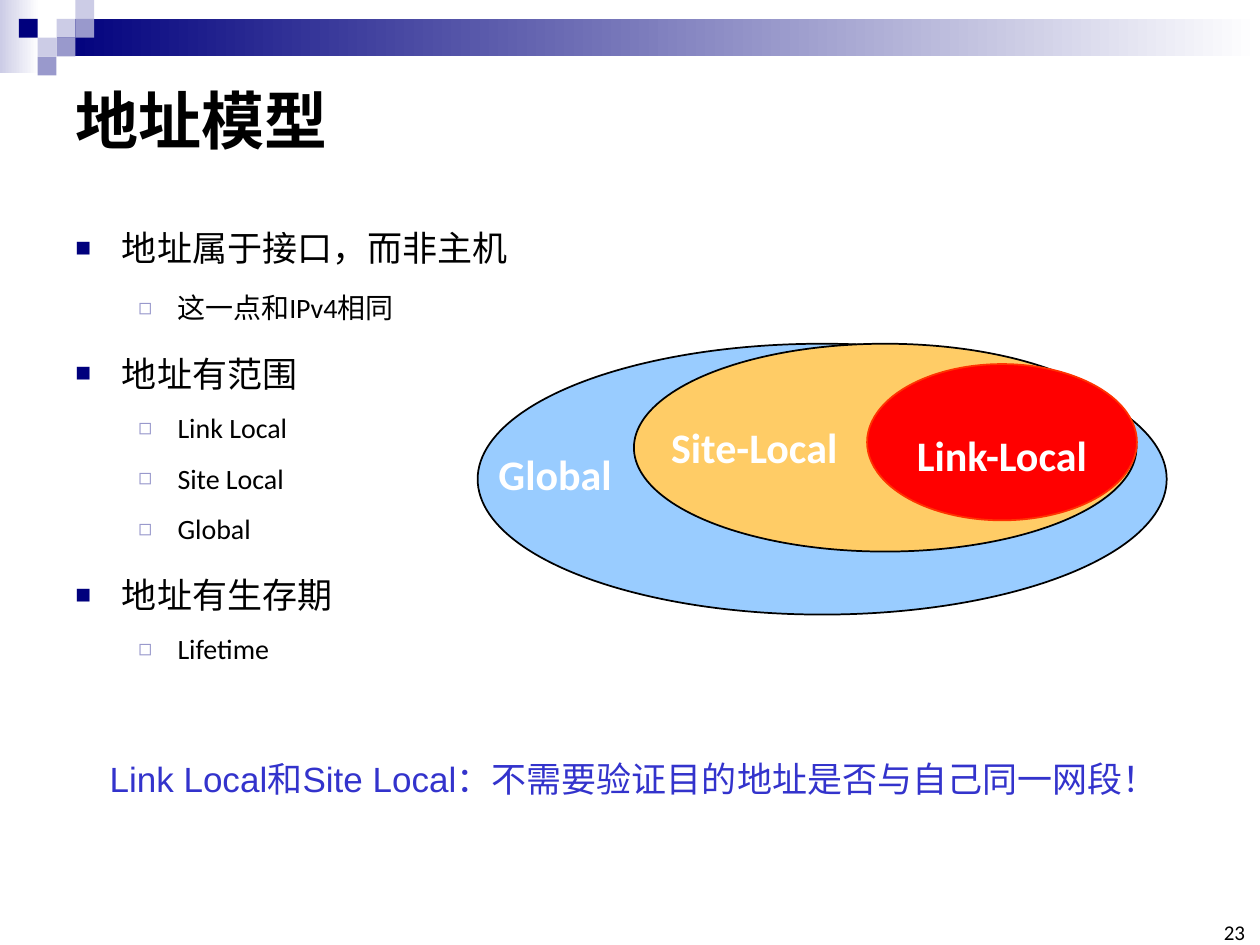
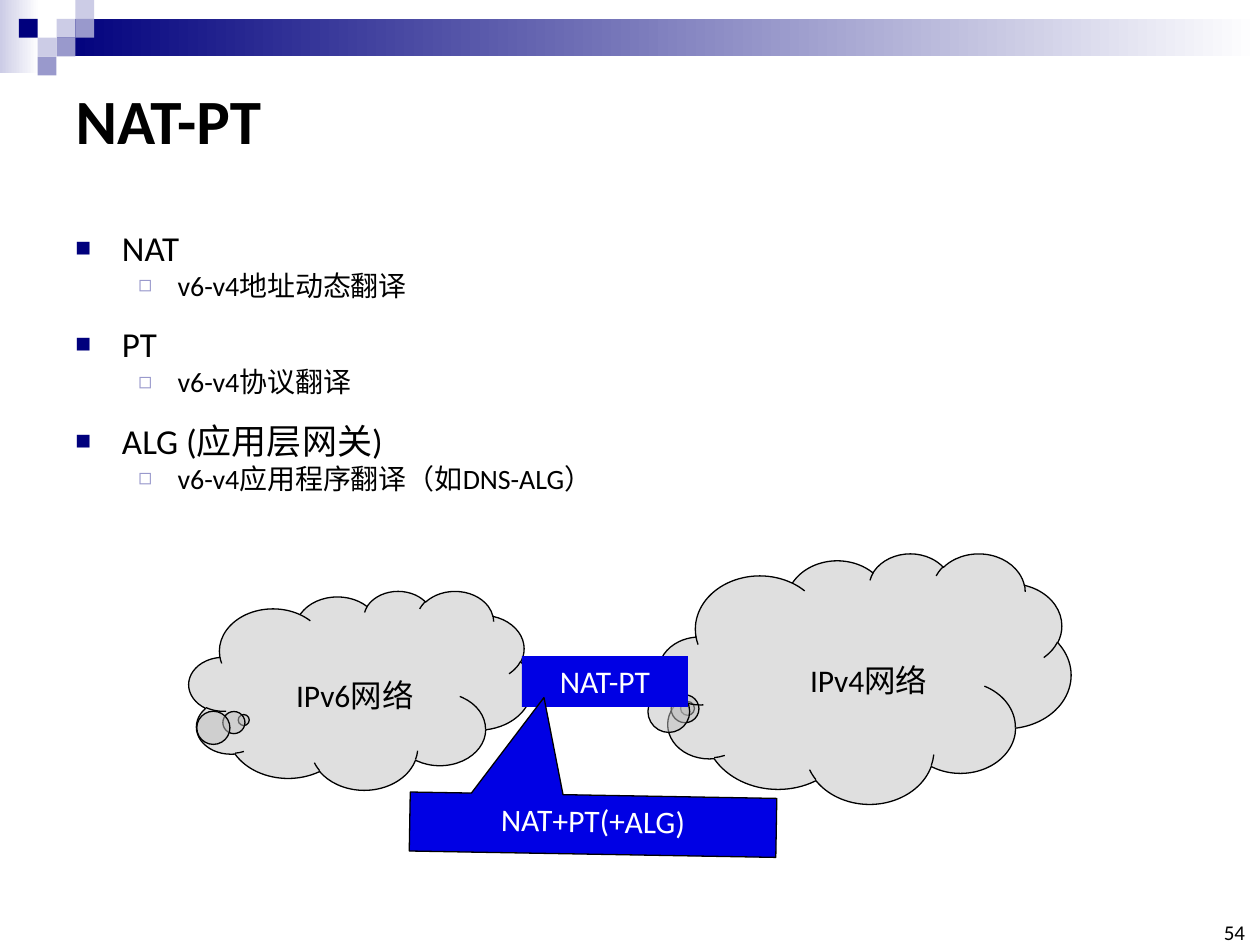
import pptx
import pptx.util
import pptx.dml.color
import pptx.enum.shapes
import pptx.enum.text
import pptx.oxml.ns

Cm = pptx.util.Cm
Pt = pptx.util.Pt
RGB = pptx.dml.color.RGBColor
SHAPE = pptx.enum.shapes.MSO_SHAPE
ALIGN = pptx.enum.text.PP_ALIGN
ANCHOR = pptx.enum.text.MSO_ANCHOR
FIT = pptx.enum.text.MSO_AUTO_SIZE
qn = pptx.oxml.ns.qn

BLACK = RGB(0x00, 0x00, 0x00)
WHITE = RGB(0xFF, 0xFF, 0xFF)
NAVY = RGB(0x00, 0x00, 0x7D)
LAVENDER = RGB(0x99, 0x99, 0xCC)
PALE = RGB(0xCC, 0xCC, 0xE6)
SKY = RGB(0x99, 0xCC, 0xFF)
AMBER = RGB(0xFF, 0xCC, 0x66)
RED = RGB(0xFF, 0x00, 0x00)
ORANGE = RGB(0xFF, 0x33, 0x00)
BLUE = RGB(0x00, 0x00, 0xE4)
INDIGO = RGB(0x33, 0x33, 0xCC)
GREY = RGB(0xC0, 0xC0, 0xC0)

UNIT = 0.38
SQUARES = [(3, 1, PALE), (4, 0, PALE), (4, 1, LAVENDER), (2, 2, PALE),
           (1, 1, NAVY), (3, 2, LAVENDER), (2, 3, LAVENDER)]
LEVELS = [
    dict(size=20, left=0.94, hang=0.94, char="■", color=NAVY, scale=75),
    dict(size=16, left=2.06, hang=0.79, char="◻", color=LAVENDER, scale=80),
]


def add_xml(parent, tag, **attributes):
    child = parent.makeelement(qn(tag), attributes)
    parent.append(child)
    return child


class Deck:
    font = "Calibri"

    def __init__(self):
        self.prs = pptx.Presentation()
        self.prs.slide_width = Cm(25.4)
        self.prs.slide_height = Cm(19.05)
        self.s = None

    def slide(self, title, number):
        self.s = self.prs.slides.add_slide(self.prs.slide_layouts[5])
        self.band()
        sp = self.s.shapes.title
        sp.left, sp.top, sp.width, sp.height = Cm(1.27), Cm(1.27), Cm(22.86), Cm(2.26)
        tf = sp.text_frame
        tf.auto_size = FIT.NONE
        tf.vertical_anchor = ANCHOR.MIDDLE
        self.run(tf.paragraphs[0], title, 36, bold=True, align=ALIGN.LEFT)
        tf = self.text((24.13, 18.62, 0.97, 0.43), number, 12, align=ALIGN.RIGHT)
        tf.auto_size = FIT.NONE
        tf.vertical_anchor = ANCHOR.BOTTOM
        tf.margin_left = tf.margin_right = tf.margin_top = tf.margin_bottom = 0

    def band(self):
        self.gradient((0, 0, 0.79, 1.47), PALE)
        self.gradient((3 * UNIT, UNIT, 25.4 - 3 * UNIT, 2 * UNIT), NAVY)
        for col, row, color in SQUARES:
            self.shape(SHAPE.RECTANGLE, (col * UNIT, row * UNIT, UNIT, UNIT), color)

    def gradient(self, box, color):
        sp = self.shape(SHAPE.RECTANGLE, box, color)
        sp.fill.gradient()
        sp.fill.gradient_angle = 0
        for stop, rgb in zip(sp.fill.gradient_stops, (color, WHITE)):
            stop.color.rgb = rgb

    def shape(self, kind, box, fill, line=None, weight=1, adj=()):
        sp = self.s.shapes.add_shape(kind, *map(Cm, box))
        sp.shadow.inherit = False
        sp.fill.solid()
        sp.fill.fore_color.rgb = fill
        if line is None:
            sp.line.fill.background()
        else:
            sp.line.color.rgb = line
            sp.line.width = Pt(weight)
        for i, value in enumerate(adj):
            sp.adjustments[i] = value
        return sp

    def cloud(self, box, adj):
        sp = self.shape(SHAPE.CLOUD_CALLOUT, box, GREY, BLACK, 0.75, adj)
        color = sp.element.spPr.find(qn("a:solidFill")).find(qn("a:srgbClr"))
        add_xml(color, "a:alpha", val="50000")

    def run(self, p, text, size, color=BLACK, bold=False, font=None, align=None):
        p.alignment = align
        r = p.add_run()
        r.text = text
        r.font.name = font or self.font
        r.font.size = Pt(size)
        r.font.bold = bold
        r.font.color.rgb = color

    def text(self, box, text, size, wrap=True, **style):
        tf = self.s.shapes.add_textbox(*map(Cm, box)).text_frame
        tf.word_wrap = wrap
        tf.auto_size = FIT.SHAPE_TO_FIT_TEXT
        self.run(tf.paragraphs[0], text, size, **style)
        return tf

    def caption(self, sp, text, size, anchor=ANCHOR.TOP, wrap=True, bold=False):
        tf = sp.text_frame
        tf.word_wrap = wrap
        tf.vertical_anchor = anchor
        self.run(tf.paragraphs[0], text, size, WHITE, bold, align=ALIGN.CENTER)
        return tf

    def bullets(self, box, items):
        tf = self.s.shapes.add_textbox(*map(Cm, box)).text_frame
        tf.word_wrap = True
        for i, (level, text, spacing, before) in enumerate(items):
            p = tf.paragraphs[0] if i == 0 else tf.add_paragraph()
            look = LEVELS[level]
            p.level = level
            p.line_spacing = spacing
            p.space_before = Pt(before)
            self.run(p, text, look["size"])
            self.bullet(p, look)

    def bullet(self, p, look):
        pPr = p._p.get_or_add_pPr()
        pPr.set("marL", str(Cm(look["left"])))
        pPr.set("indent", str(-Cm(look["hang"])))
        add_xml(add_xml(pPr, "a:buClr"), "a:srgbClr", val=str(look["color"]))
        add_xml(pPr, "a:buSzPct", val=str(look["scale"] * 1000))
        add_xml(pPr, "a:buFont", typeface="Arial")
        add_xml(pPr, "a:buChar", char=look["char"])


d = Deck()

d.slide("地址模型", "23")
d.bullets((1.27, 4.01, 23.24, 10.87), [
    (0, "地址属于接口，而非主机", 1.5, 4),
    (1, "这一点和IPv4相同", 1.5, 3.2),
    (0, "地址有范围", 1.5, 4),
    (1, "Link Local", 1.5, 0),
    (1, "Site Local", 1.5, 0),
    (1, "Global", 1.5, 0),
    (0, "地址有生存期", 1.5, 4),
    (1, "Lifetime", 1.5, 0),
])
d.shape(SHAPE.OVAL, (9.63, 6.93, 13.89, 5.46), SKY, BLACK)
d.shape(SHAPE.OVAL, (12.78, 6.93, 10.13, 4.19), AMBER, BLACK)
link = d.shape(SHAPE.OVAL, (17.48, 7.34, 5.44, 3.15), RED, ORANGE)
tf = d.caption(link, "Link-Local", 24, ANCHOR.MIDDLE, wrap=False, bold=True)
tf.paragraphs[0].line_spacing = 1.5
d.text((13.28, 8.38, 3.91, 1.3), "Site-Local", 24, wrap=False, color=WHITE, bold=True)
d.text((9.8, 8.92, 2.82, 1.3), "Global", 24, wrap=False, color=WHITE, bold=True)
d.text((1.96, 15.14, 21.06, 1.12),
       "Link Local和Site Local：不需要验证目的地址是否与自己同一网段！",
       20, color=INDIGO, font="Arial")

d.slide("NAT-PT", "54")
d.bullets((1.27, 4.01, 23.24, 10.16), [
    (0, "NAT", 1.5, 0),
    (1, "v6-v4地址动态翻译", 1, 0),
    (0, "PT", 1.5, 0),
    (1, "v6-v4协议翻译", 1, 0),
    (0, "ALG (应用层网关)", 1.5, 0),
    (1, "v6-v4应用程序翻译（如DNS-ALG）", 1, 0),
])
d.cloud((3.81, 11.91, 6.91, 4.01), (-0.34, 0.15))
d.cloud((13.28, 11.15, 8.31, 5.05), (-0.43, 0.12))
gateway = d.shape(SHAPE.RECTANGLE, (10.52, 13.23, 3.35, 1.02), BLUE)
d.caption(gateway, "NAT-PT", 18)
d.text((5.72, 13.51, 3.76, 1.02), "IPv6网络", 18)
d.text((16.08, 13.21, 3.96, 1.02), "IPv4网络", 18)
note = d.shape(SHAPE.RECTANGULAR_CALLOUT, (8.26, 16.03, 7.39, 1.19), BLUE, BLACK, 0.75,
               (0.14, 2.14))
note.rotation = 181
d.caption(note, "NAT+PT(+ALG)", 18)
note.element.txBody.find(qn("a:bodyPr")).set("rot", "10800000")

d.prs.save("out.pptx")
